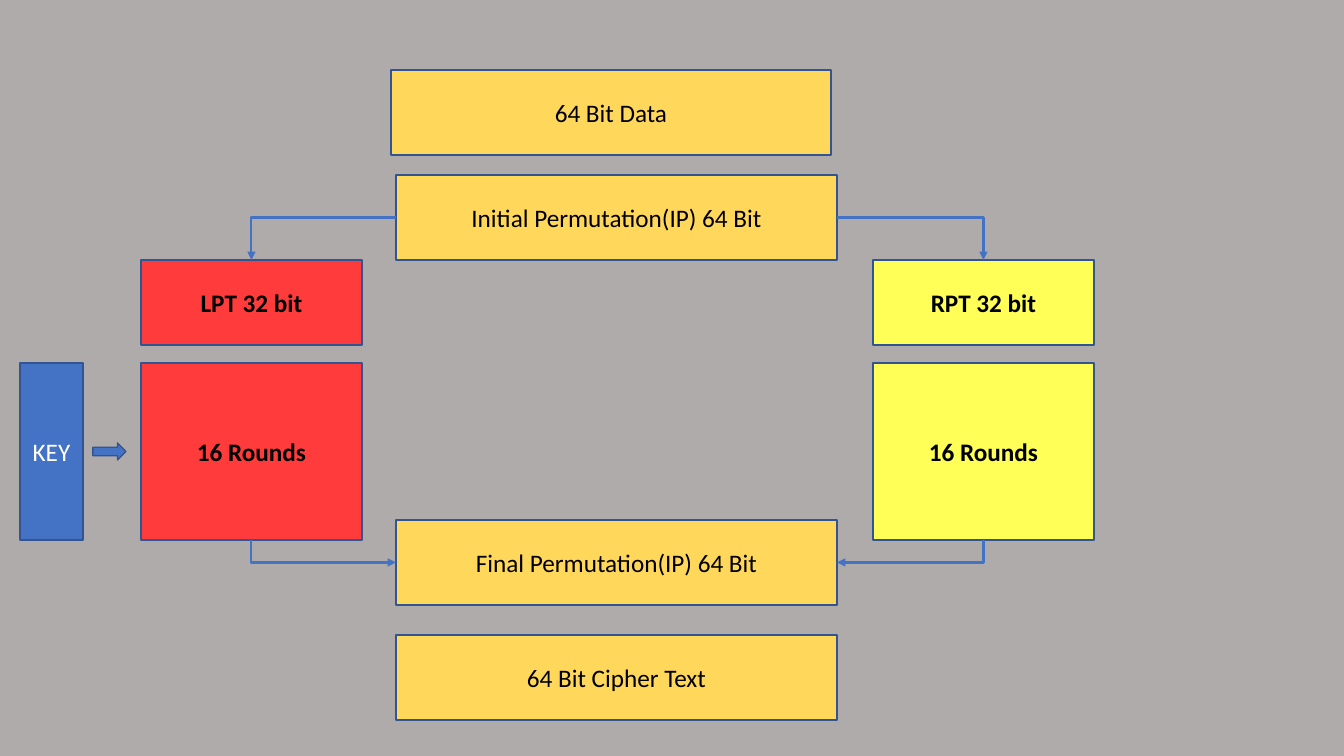
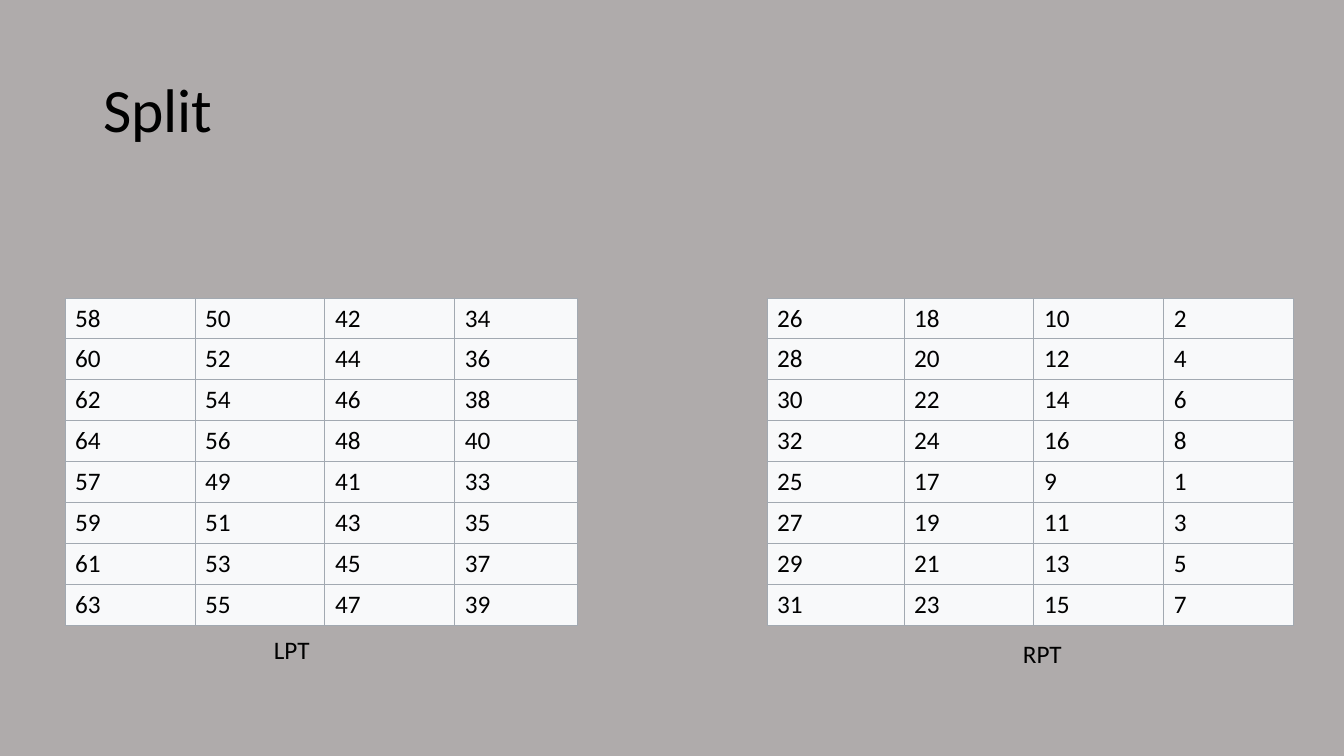
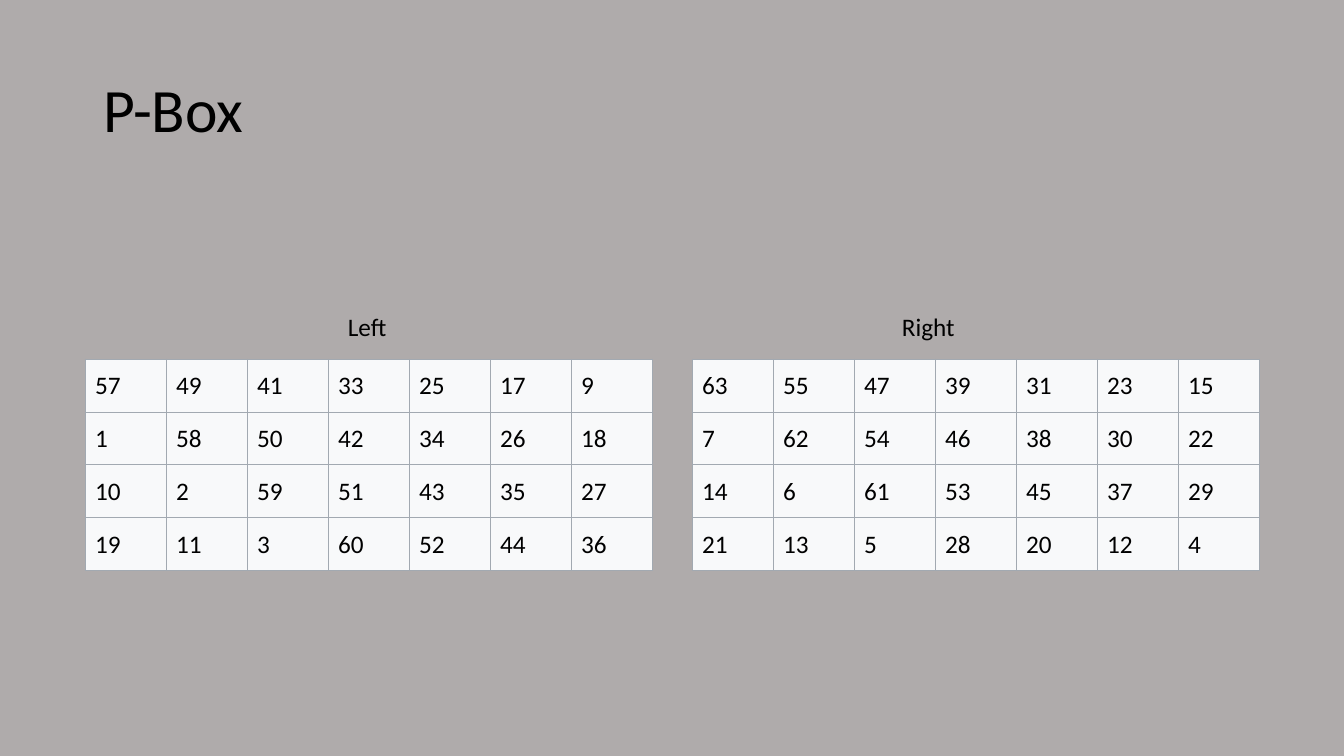
from lxml import etree
from pptx import Presentation
from pptx import util as u
from pptx.dml.color import RGBColor
from pptx.enum import shapes, text
from pptx.oxml.ns import qn

PX = 914400 / 100.8  # EMU per px
COLORS = {
    "background": "AFABAB", "black": "000000", "white": "FFFFFF",
    "amber": "FFD85B", "red": "FF3B3B", "yellow": "FFFF57",
    "blue": "4472C4", "outline": "325491",
    "cell": "F8F9FA", "grid": "A2A9B1",
}
# Connection sites of a rectangle
TOP, LEFT, BOTTOM, RIGHT = range(4)


def color(name):
    return RGBColor.from_string(COLORS[name])


def px(*lengths):
    return [u.Emu(round(length * PX)) for length in lengths]


class Deck:
    """Shared style and the slide being filled."""

    font = "Calibri"
    size = 18
    title_size = 44

    def __init__(self):
        self.presentation = Presentation()
        self.presentation.slide_width, self.presentation.slide_height = px(1344, 756)
        fill = self.presentation.slide_master.background.fill
        fill.solid()
        fill.fore_color.rgb = color("background")
        self.slide = None

    def add_slide(self, title=None):
        layout = self.presentation.slide_layouts[5 if title else 6]
        self.slide = self.presentation.slides.add_slide(layout)
        if title:
            shape = self.slide.shapes.title
            shape.left, shape.top, shape.width, shape.height = px(93, 40, 1159, 146)
            frame = shape.text_frame
            frame.auto_size = text.MSO_AUTO_SIZE.NONE
            frame.vertical_anchor = text.MSO_ANCHOR.MIDDLE
            self.set_text(frame, title, size=self.title_size)
            frame.paragraphs[0].line_spacing = 0.9

    def set_text(self, frame, words, ink="black", size=size, bold=False,
                 align=text.PP_ALIGN.LEFT):
        frame.text = words
        paragraph = frame.paragraphs[0]
        paragraph.alignment = align
        for run in paragraph.runs:
            run.font.name = self.font
            run.font.size = u.Pt(size)
            run.font.bold = bold
            run.font.color.rgb = color(ink)

    def shape(self, kind, place, fill):
        shape = self.slide.shapes.add_shape(kind, *px(*place))
        shape.shadow.inherit = False
        shape.fill.solid()
        shape.fill.fore_color.rgb = color(fill)
        shape.line.color.rgb = color("outline")
        shape.line.width = u.Pt(1)
        return shape

    def box(self, words, place, fill, ink="black", bold=False):
        shape = self.shape(shapes.MSO_SHAPE.RECTANGLE, place, fill)
        shape.text_frame.vertical_anchor = text.MSO_ANCHOR.MIDDLE
        self.set_text(shape.text_frame, words, ink, bold=bold,
                      align=text.PP_ALIGN.CENTER)
        return shape

    def elbow(self, start, start_site, end, end_site, arrow_end):
        """One-bend connector that leaves its start horizontally."""
        connector = self.slide.shapes.add_connector(
            shapes.MSO_CONNECTOR.ELBOW, 0, 0, 0, 0)
        connector.begin_connect(start, start_site)
        connector.end_connect(end, end_site)
        connector.line.color.rgb = color("blue")
        connector.line.width = u.Pt(1.5)
        properties = connector.element.spPr
        properties.find(qn("a:prstGeom")).set("prst", "bentConnector2")
        etree.SubElement(properties.find(qn("a:ln")), qn(arrow_end), type="triangle")
        etree.SubElement(properties, qn("a:effectLst"))

    def caption(self, words, left, top, width):
        frame = self.slide.shapes.add_textbox(*px(left, top, width, 40)).text_frame
        frame.word_wrap = True
        frame.auto_size = text.MSO_AUTO_SIZE.SHAPE_TO_FIT_TEXT
        self.set_text(frame, words)

    def table(self, rows, left, top, widths, row_height):
        table = self.slide.shapes.add_table(
            len(rows), len(widths),
            *px(left, top, sum(widths), row_height * len(rows))).table
        table.first_row = table.horz_banding = False
        for column, width in zip(table.columns, px(*widths)):
            column.width = width
        for row, values in zip(table.rows, rows):
            row.height = px(row_height)[0]
            for cell, value in zip(row.cells, values):
                self.set_text(cell.text_frame, str(value))
                cell.vertical_anchor = text.MSO_ANCHOR.MIDDLE
                self.cell_borders(cell)
                cell.fill.solid()
                cell.fill.fore_color.rgb = color("cell")

    def cell_borders(self, cell):
        properties = cell._tc.get_or_add_tcPr()
        for side in ("a:lnL", "a:lnR", "a:lnT", "a:lnB"):
            line = etree.SubElement(properties, qn(side), w=str(int(u.Pt(0.75))))
            fill = etree.SubElement(line, qn("a:solidFill"))
            etree.SubElement(fill, qn("a:srgbClr"), val=COLORS["grid"])


def cipher_overview(deck):
    deck.add_slide()
    # Central column
    deck.box("64 Bit Data", (391, 70, 440, 85), "amber")
    initial, final, _ = [
        deck.box(words, (396, top, 441, 85), "amber")
        for words, top in (("Initial Permutation(IP) 64 Bit", 175),
                           ("Final Permutation(IP) 64 Bit", 520),
                           ("64 Bit Cipher Text", 635))]
    # Left and right halves with their arrows
    for words, left, fill, site in (("LPT 32 bit", 141, "red", LEFT),
                                    ("RPT 32 bit", 873, "yellow", RIGHT)):
        half = deck.box(words, (left, 260, 221, 85), fill, bold=True)
        rounds = deck.box("16 Rounds", (left, 363, 221, 177), fill, bold=True)
        deck.elbow(initial, site, half, TOP, "a:tailEnd")
        deck.elbow(final, site, rounds, BOTTOM, "a:headEnd")
    # Key
    deck.box("KEY", (20, 363, 63, 177), "blue", ink="white")
    deck.shape(shapes.MSO_SHAPE.RIGHT_ARROW, (93, 443, 33, 17), "blue")


def split(deck):
    deck.add_slide("Split")
    # Each row steps down by 8; the right half continues the left one
    starts = (58, 60, 62, 64, 57, 59, 61, 63)
    for offset, left, widths in ((0, 65, (130, 130, 130, 123)),
                                 (32, 767, (137, 130, 130, 130))):
        rows = [[start - offset - 8 * step for step in range(4)] for start in starts]
        deck.table(rows, left, 298, widths, 40)
    deck.caption("LPT", 264, 629, 86)
    deck.caption("RPT", 1013, 633, 86)


def p_box(deck):
    deck.add_slide("P-Box")
    left_rows = ((57, 49, 41, 33, 25, 17, 9),
                 (1, 58, 50, 42, 34, 26, 18),
                 (10, 2, 59, 51, 43, 35, 27),
                 (19, 11, 3, 60, 52, 44, 36))
    right_rows = ((63, 55, 47, 39, 31, 23, 15),
                  (7, 62, 54, 46, 38, 30, 22),
                  (14, 6, 61, 53, 45, 37, 29),
                  (21, 13, 5, 28, 20, 12, 4))
    for words, caption_left, rows, left in (("Left", 338, left_rows, 85),
                                            ("Right", 892, right_rows, 692)):
        deck.table(rows, left, 359, [81] * 7, 53)
        deck.caption(words, caption_left, 306, 114)


def main():
    deck = Deck()
    cipher_overview(deck)
    split(deck)
    p_box(deck)
    deck.presentation.save("out.pptx")


if __name__ == "__main__":
    main()
